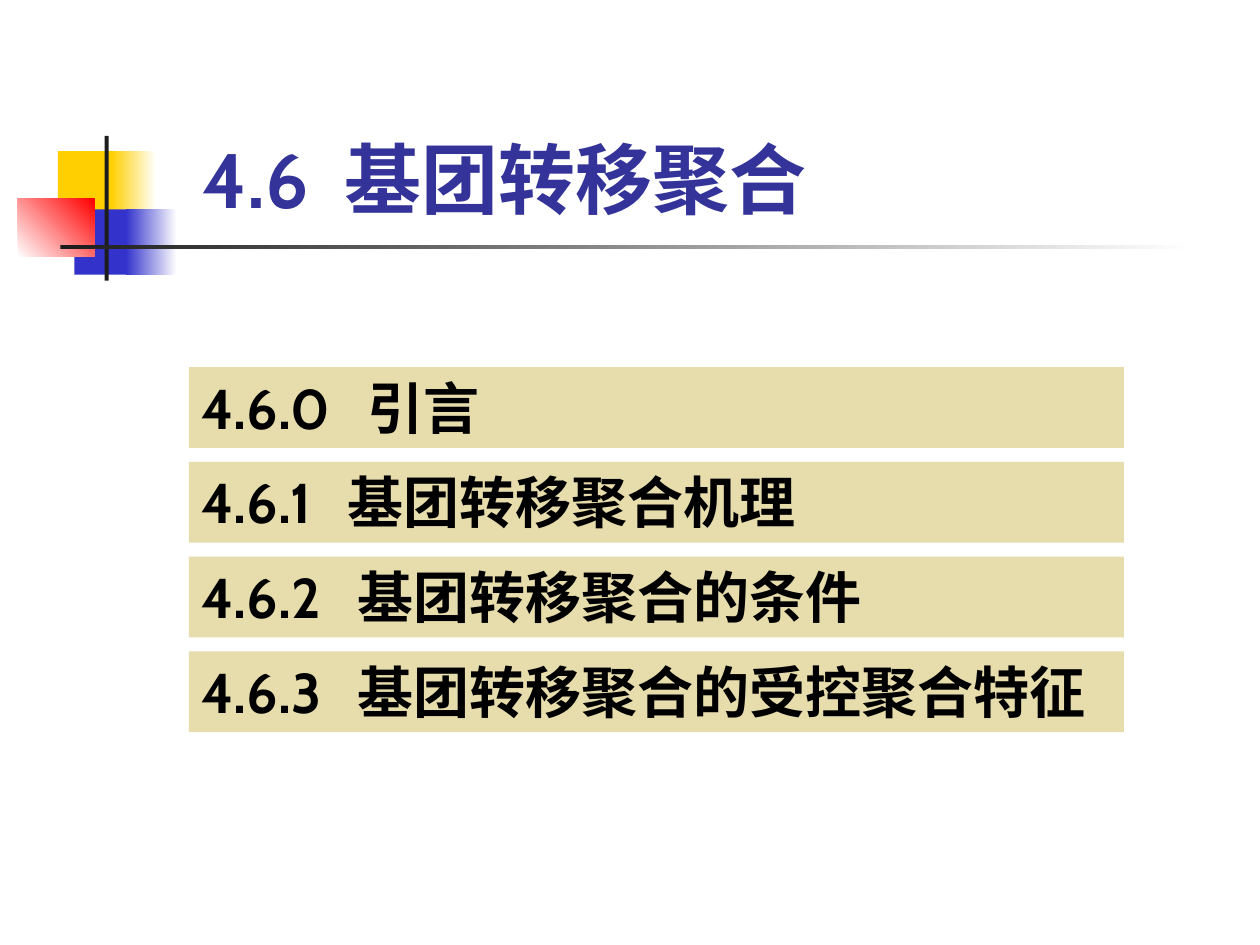
from pptx import Presentation
from pptx.dml.color import RGBColor
from pptx.enum.shapes import MSO_SHAPE
from pptx.enum.text import MSO_ANCHOR, PP_ALIGN
from pptx.oxml import parse_xml
from pptx.oxml.ns import nsdecls
from pptx.util import Cm, Pt

WHITE = RGBColor(0xFF, 0xFF, 0xFF)
BLACK = RGBColor(0, 0, 0)
YELLOW = RGBColor(0xFF, 0xCF, 0x01)
BLUE = RGBColor(0x33, 0x33, 0xCC)
RED = RGBColor(0xFF, 0, 0)
CHARCOAL = RGBColor(0x1C, 0x1C, 0x1C)
INDIGO = RGBColor(0x33, 0x33, 0x99)
SAND = RGBColor(0xE6, 0xDC, 0xAC)

# Content: number, heading, distance from the text edge to the heading in cm
TITLE = ("4.6", "基团转移聚合", 2.85)
SECTIONS = [
    ("4.6.0", "引言", 3.35, "Cabin"),
    ("4.6.1", "基团转移聚合机理", 2.95, "Times New Roman"),
    ("4.6.2", "基团转移聚合的条件", 3.15, "Times New Roman"),
    ("4.6.3", "基团转移聚合的受控聚合特征", 3.15, "Times New Roman"),
]

# Ornament: left, top, width, height in cm, colours, gradient angle
ORNAMENT = [
    (1.17, 3.05, 1.22, 1.32, [YELLOW], 0),
    (2.24, 3.05, 0.91, 1.32, [YELLOW, WHITE], 0),
    (1.5, 4.22, 1.17, 1.32, [BLUE], 0),
    (2.54, 4.22, 1.02, 1.32, [BLUE, WHITE], 0),
    (0.36, 4.01, 1.55, 1.17, [WHITE, RED], 45),
    (2.11, 2.74, 0.08, 2.92, [CHARCOAL], 0),
    (1.22, 4.94, 22.86, 0.09, [CHARCOAL, WHITE], 0),
]

# Section bars, in cm
BAR_LEFT, BAR_TOP, BAR_WIDTH, BAR_HEIGHT, BAR_PITCH = 3.81, 7.4, 18.85, 1.63, 1.91


def add_block(slide, left, top, width, height, colours, angle=0):
    block = slide.shapes.add_shape(
        MSO_SHAPE.RECTANGLE, Cm(left), Cm(top), Cm(width), Cm(height))
    block.shadow.inherit = False
    block.line.fill.background()
    if len(colours) == 1:
        block.fill.solid()
        block.fill.fore_color.rgb = colours[0]
    else:
        block.fill.gradient()
        block.fill.gradient_angle = angle
        for stop, colour in zip(block.fill.gradient_stops, colours):
            stop.color.rgb = colour
    return block


def write_heading(frame, number, heading, *, tab, size, colour, anchor,
                  heading_font="Cabin"):
    frame.word_wrap = True
    frame.vertical_anchor = anchor
    paragraph = frame.paragraphs[0]
    paragraph.alignment = PP_ALIGN.LEFT
    paragraph._p.get_or_add_pPr().append(parse_xml(
        f'<a:tabLst {nsdecls("a")}><a:tab pos="{Cm(tab)}" algn="l"/></a:tabLst>'))
    for text, font in ((number + "\t", "Cabin"), (heading, heading_font)):
        run = paragraph.add_run()
        run.text = text
        run.font.name = font
        run.font.size = Pt(size)
        run.font.bold = True
        run.font.color.rgb = colour


def main():
    prs = Presentation()
    prs.slide_width, prs.slide_height = Cm(25.4), Cm(19.05)
    slide = prs.slides.add_slide(prs.slide_layouts[6])

    # Ornament and rule
    for left, top, width, height, colours, angle in ORNAMENT:
        add_block(slide, left, top, width, height, colours, angle)

    # Title
    number, heading, tab = TITLE
    title = slide.shapes.add_textbox(Cm(3.84), Cm(0.58), Cm(18.31), Cm(4.06))
    write_heading(title.text_frame, number, heading, tab=tab, size=44,
                  colour=INDIGO, anchor=MSO_ANCHOR.BOTTOM)

    # Section bars
    for row, (number, heading, tab, font) in enumerate(SECTIONS):
        bar = add_block(slide, BAR_LEFT, BAR_TOP + row * BAR_PITCH,
                        BAR_WIDTH, BAR_HEIGHT, [SAND])
        write_heading(bar.text_frame, number, heading, tab=tab, size=32,
                      colour=BLACK, anchor=MSO_ANCHOR.TOP, heading_font=font)

    prs.save("out.pptx")


if __name__ == "__main__":
    main()
